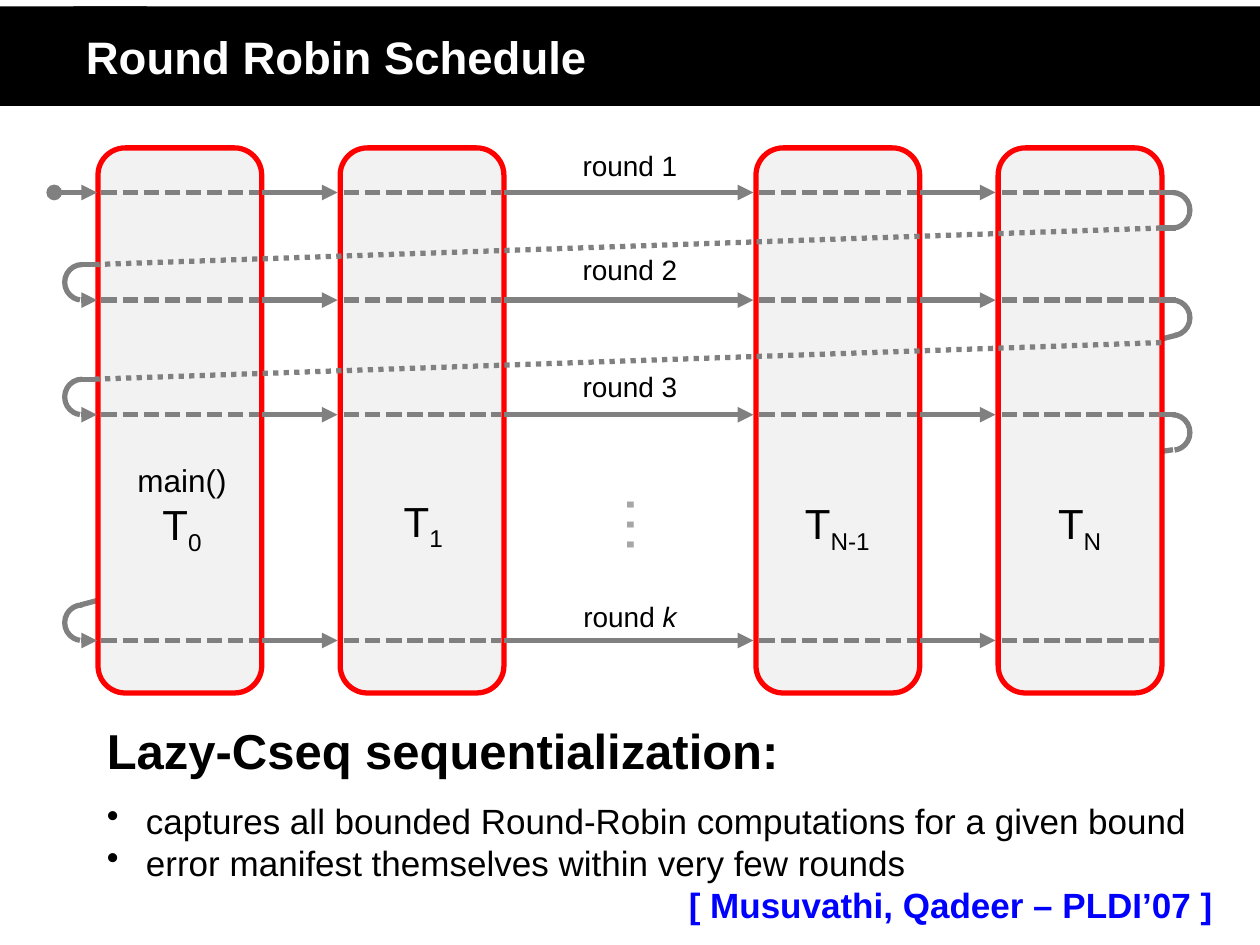
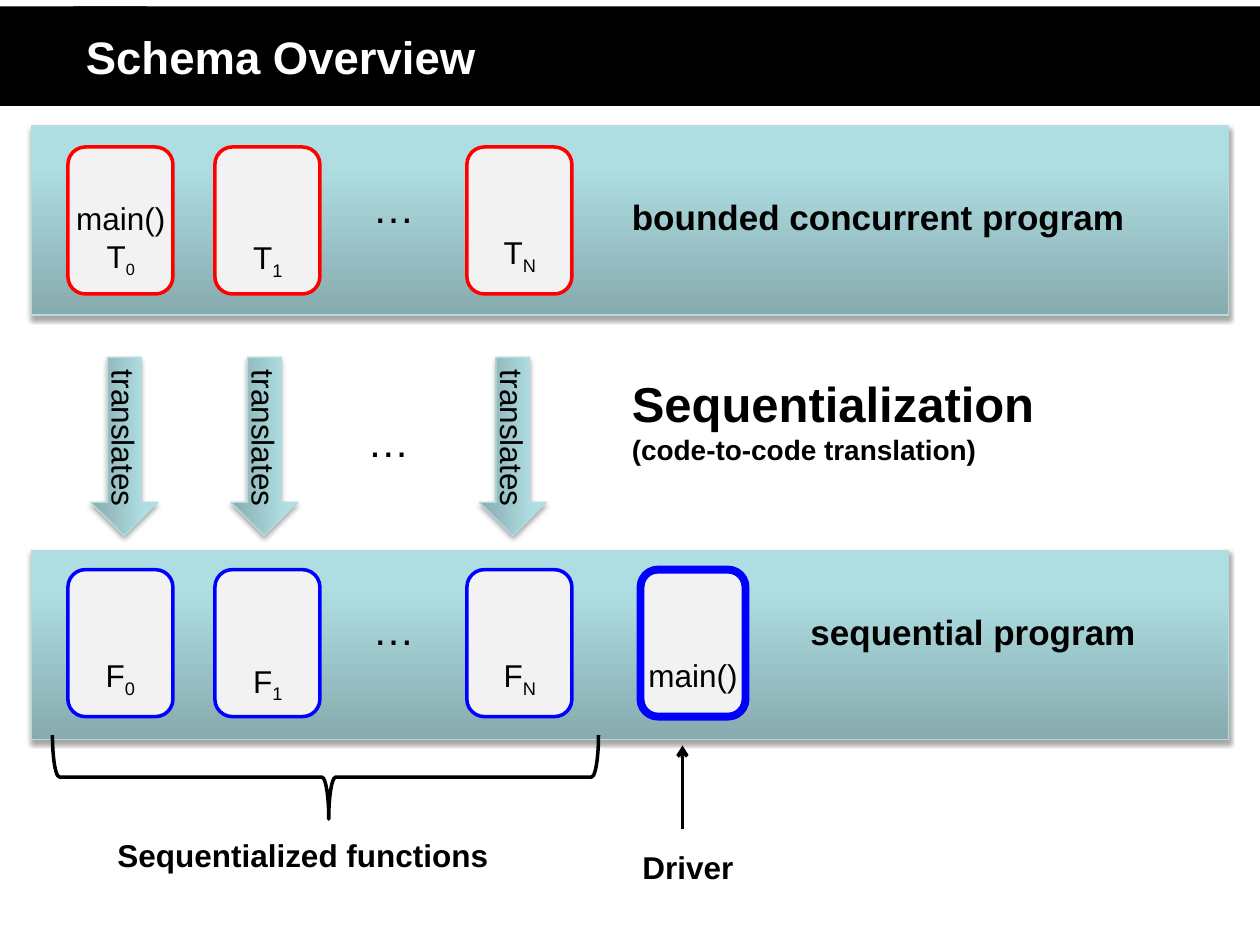
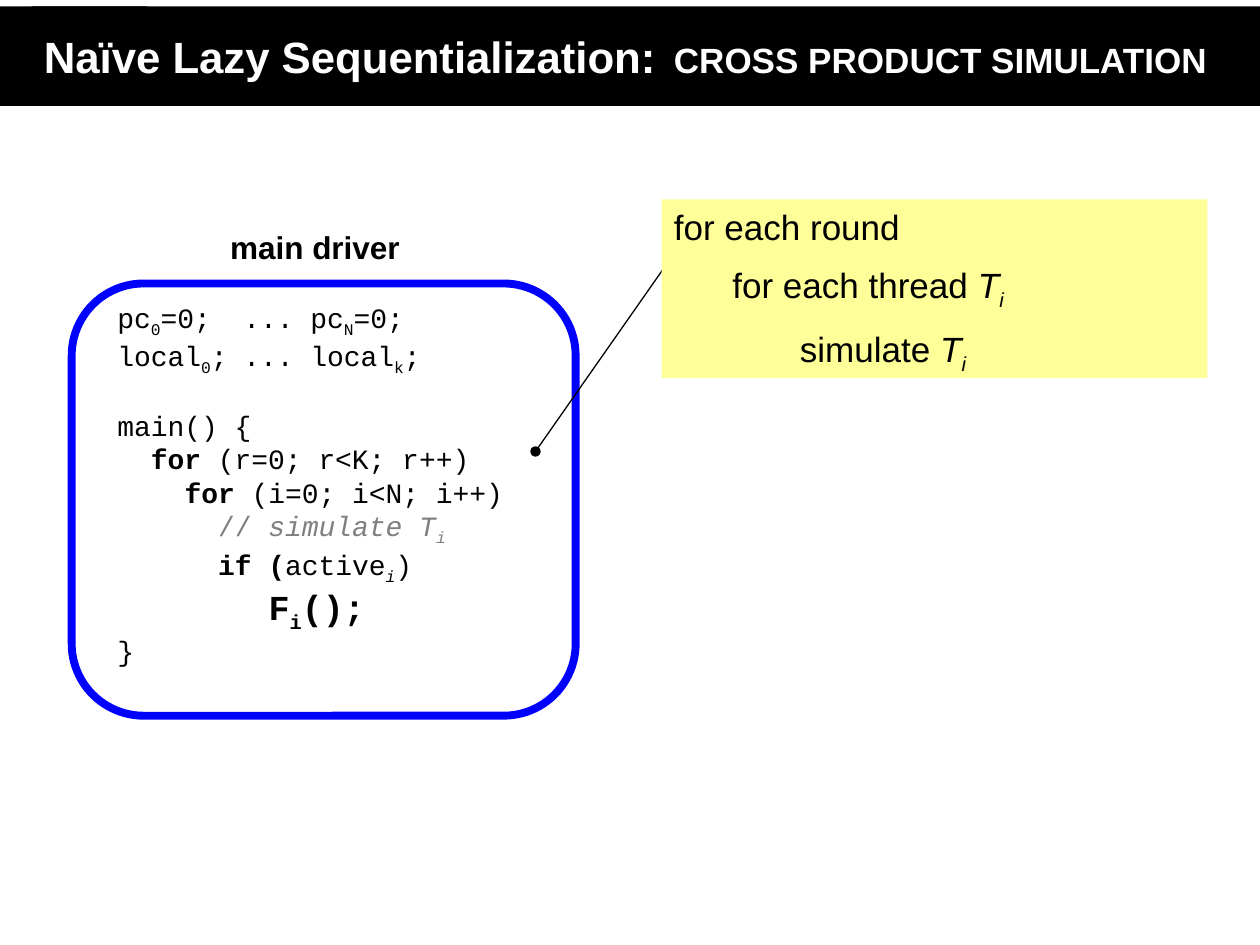
from copy import deepcopy
from dataclasses import dataclass

from lxml import etree
from pptx import Presentation
from pptx.dml.color import RGBColor
from pptx.enum.dml import MSO_LINE
from pptx.enum.shapes import MSO_CONNECTOR, MSO_SHAPE
from pptx.enum.text import MSO_ANCHOR, PP_ALIGN
from pptx.oxml.ns import qn
from pptx.util import Pt

RECT, ROUND = MSO_SHAPE.RECTANGLE, MSO_SHAPE.ROUNDED_RECTANGLE
ARC, BRACE, ARROW = MSO_SHAPE.ARC, MSO_SHAPE.LEFT_BRACE, MSO_SHAPE.RIGHT_ARROW
STRAIGHT = MSO_CONNECTOR.STRAIGHT
DASH, DOT = MSO_LINE.SQUARE_DOT, MSO_LINE.ROUND_DOT
LEFT, CENTER = PP_ALIGN.LEFT, PP_ALIGN.CENTER
TOP, MIDDLE = MSO_ANCHOR.TOP, MSO_ANCHOR.MIDDLE


@dataclass(frozen=True)
class Theme:
    sans: str = "Arial"
    mono: str = "Courier New"
    black: str = "000000"
    white: str = "FFFFFF"
    red: str = "FF0000"
    blue: str = "0000FF"
    gray: str = "808080"
    pale: str = "F2F2F2"
    faint: str = "A6A6A6"
    remark: str = "7F7F7F"
    note: str = "FFFF99"
    edge: str = "B6DCDF"
    teal: tuple = ((0, "87ABAE"), (0.8, "AFDEE2"), (1, "AFE0E4"))
    title: int = 26
    head: int = 28
    large: int = 24
    body: int = 20
    label: int = 18
    small: int = 16
    dots: int = 36


THEME = Theme()


@dataclass
class Line:
    """One paragraph. A run is (text, flags, size); flags: b bold, i italic, _ subscript."""
    runs: object
    size: int = THEME.label
    color: str = THEME.black
    bold: bool = False
    font: str = THEME.sans
    align: object = LEFT
    left: float = 0
    hang: float = 0
    before: float = 0
    tab: float = 0
    bullet: str = ""


def sub(name, index, flags=""):
    return [(name, flags), (index, flags + "_")]


def rgb(color):
    return RGBColor.from_string(color)


def write(frame, lines, anchor=TOP):
    frame.word_wrap = True
    frame.vertical_anchor = anchor
    for i, line in enumerate(lines):
        par = frame.add_paragraph() if i else frame.paragraphs[0]
        par.alignment = line.align
        par.space_before = Pt(line.before)
        props = par._p.get_or_add_pPr()
        props.set("marL", str(Pt(line.left)))
        props.set("indent", str(Pt(-line.hang)))
        if line.bullet:
            etree.SubElement(props, qn("a:buChar"), char=line.bullet)
        if line.tab:
            stops = etree.SubElement(props, qn("a:tabLst"))
            etree.SubElement(stops, qn("a:tab"), pos=str(Pt(line.tab)), algn="l")
        runs = [(line.runs,)] if isinstance(line.runs, str) else line.runs
        for words, *extra in runs:
            flags = extra[0] if extra else ""
            run = par.add_run()
            run.text = words
            font = run.font
            font.name = line.font
            font.size = Pt(extra[1] if len(extra) > 1 else line.size)
            font.bold = line.bold or "b" in flags
            font.italic = "i" in flags
            font.color.rgb = rgb(line.color)
            if "_" in flags:
                run._r.get_or_add_rPr().set("baseline", "-25000")


def text(slide, box, *lines, turn=0, anchor=TOP):
    item = slide.shapes.add_textbox(*map(Pt, box))
    item.rotation = turn
    write(item.text_frame, lines, anchor)


def shape(slide, kind, box, fill=None, line=None, width=1.0, turn=0, adjust=()):
    item = slide.shapes.add_shape(kind, *map(Pt, box))
    item.shadow.inherit = False
    item.rotation = turn
    for i, value in enumerate(adjust):
        item.adjustments[i] = value
    if fill:
        item.fill.solid()
        item.fill.fore_color.rgb = rgb(fill)
    else:
        item.fill.background()
    if line:
        item.line.color.rgb = rgb(line)
        item.line.width = Pt(width)
    else:
        item.line.fill.background()
    return item


def glossy(slide, kind, box, turn=0):
    """A shape with the teal gradient and a soft shadow."""
    item = shape(slide, kind, box, line=THEME.edge, width=0.75, turn=turn)
    item.fill.gradient()
    item.fill.gradient_angle = 90
    props = item._element.spPr
    stops = props.find(qn("a:gradFill")).find(qn("a:gsLst"))
    stops.append(deepcopy(stops[-1]))
    for stop, (place, color) in zip(item.fill.gradient_stops, THEME.teal):
        stop.position = place
        stop.color.rgb = rgb(color)
    shade = etree.SubElement(props.find(qn("a:effectLst")), qn("a:outerShdw"),
                             blurRad=str(Pt(3.1)), dist=str(Pt(1.8)),
                             dir="5400000", rotWithShape="0")
    tint = etree.SubElement(shade, qn("a:srgbClr"), val=THEME.black)
    etree.SubElement(tint, qn("a:alpha"), val="35000")
    return item


def link(slide, start, end, color=THEME.gray, width=3.0, dash=None, head=None, tail=None):
    item = slide.shapes.add_connector(STRAIGHT, *map(Pt, (*start, *end)))
    item.line.color.rgb = rgb(color)
    item.line.width = Pt(width)
    if dash:
        item.line.dash_style = dash
    stroke = item.line._get_or_add_ln()
    for tag, kind in (("a:headEnd", head), ("a:tailEnd", tail)):
        if kind:
            etree.SubElement(stroke, qn(tag), type=kind)
    etree.SubElement(item._element.spPr, qn("a:effectLst"))


def start(deck, runs, left=42, size=THEME.title):
    """Add a slide with the black title band."""
    slide = deck.slides.add_slide(deck.slide_layouts[6])
    top, high = 3.6, 56.9
    shape(slide, RECT, (0, top, 84, high), THEME.black)
    band = shape(slide, RECT, (left, top, 720 - left, high), THEME.black)
    write(band.text_frame, [Line(runs, size, THEME.white, True, tab=377)], MIDDLE)
    return slide


def rounds(deck):
    slide = start(deck, "Round Robin Schedule")
    cols, wide = (56, 194.4, 432, 570.4), 93.6
    rows = (110, 171.5, 237, 366)
    loop = 20.3

    for begin, end in (((576, 216), (672.5, 191.5)), ((582, 270), (670.3, 257)),
                       ((46, 345.7), (150, 318))):
        link(slide, begin, end)
    for x in cols:
        shape(slide, ROUND, (x, 84.5, wide, 311.5), THEME.pale, THEME.red, 3)

    def bend(x, y, angles):
        shape(slide, ARC, (x, y, 20, loop), line=THEME.gray, width=3, adjust=angles)

    link(slide, (31, rows[0]), (55.5, rows[0]), head="oval", tail="triangle")
    for i, y in enumerate(rows):
        for x in cols:
            link(slide, (x + 2, y), (x + 92, y), dash=DASH)
        for x, after in zip(cols, cols[1:]):
            link(slide, (x + wide, y), (after - 1.5, y), tail="triangle")
        if y != rows[-1]:
            bend(660, y, (162, 49.69))
            link(slide, (663, y), (672, y))
        if i:
            bend(37, y - loop, (58.31, 162))
            link(slide, (46.5, y), (55.5, y), tail="triangle")
        if i in (1, 2):
            link(slide, (45.5, y - loop), (54, y - loop))
            link(slide, (54, y - loop), (666, y - loop - 21), dash=DOT)
    link(slide, (663, rows[0] + loop), (672, rows[0] + loop))

    for name, y in (("1", 81.5), ("2", 141), ("3", 207.4), ("k", 339)):
        flags = "i" if name == "k" else ""
        text(slide, (300, y, 120, 26.6),
             Line([("round ",), (name, flags)], THEME.small, align=CENTER))
    text(slide, (65, 260, 78, 58), Line("main()", align=CENTER),
         Line(sub("T", "0"), THEME.large, align=CENTER))
    for index, x, y in (("1", 207.4, 279.4), ("N-1", 444, 281), ("N", 582.5, 281)):
        text(slide, (x, y, 69, 36), Line(sub("T", index), THEME.large, align=CENTER))
    text(slide, (331, 274.5, 84, 51), Line("…", THEME.dots, THEME.faint, align=CENTER),
         turn=90, anchor=MIDDLE)

    point = dict(size=THEME.body, left=58.3, hang=22.3, bullet="•")
    text(slide, (18, 408.2, 687.6, 131),
         Line("Lazy-Cseq sequentialization:", THEME.head, bold=True, left=36),
         Line("captures all bounded Round-Robin computations for a given bound",
              before=11.5, **point),
         Line("error manifest themselves within very few rounds", **point),
         Line("[ Musuvathi, Qadeer – PLDI’07 ]", THEME.body, THEME.blue, True, left=368.5))


def schema(deck):
    slide = start(deck, "Schema Overview")
    cols, size = (38.8, 122.8, 266.8), (60, 84)
    for top in (72, 314.6):
        glossy(slide, RECT, (18, top, 684, 108))
    for y, color in ((84, THEME.red), (325.5, THEME.blue)):
        for x in cols:
            shape(slide, ROUND, (x, y, *size), THEME.pale, color, 2)
    shape(slide, ROUND, (366, 325.5, *size), THEME.pale, THEME.blue, 4.5)

    def mark(x, y, *runs, wide=48):
        text(slide, (x, y, wide, 29), *[Line(r, align=CENTER) for r in runs])

    mark(33, 110, "main()", [("T",), ("0", "_", THEME.small)], wide=72)
    mark(129, 132.5, sub("T", "1"))
    mark(273, 129.5, sub("T", "N"))
    for index, x, y in (("0", 44.8, 371.5), ("1", 129, 374.5), ("N", 273, 371.5)):
        mark(x, y, sub("F", index))
    mark(363, 371.5, "main()", wide=66)
    for x, y in ((183, 100), (180, 234), (183, 341.3)):
        text(slide, (x, y, 84, 36), Line("…", THEME.large, align=CENTER))

    for x in (20, 100, 242):
        arrow = glossy(slide, ARROW, (x, 236, 102, 38.4), 90)
        write(arrow.text_frame, [Line("translates", align=CENTER)], MIDDLE)

    text(slide, (354, 108, 350, 31.5),
         Line("bounded concurrent program", THEME.body, bold=True))
    text(slide, (456, 345.5, 250, 31.5), Line("sequential program", THEME.body, bold=True))
    text(slide, (354, 210, 348, 60), Line("Sequentialization", THEME.head, bold=True),
         Line("(code-to-code translation)", THEME.small, bold=True))
    text(slide, (60, 474, 290, 29), Line("Sequentialized functions", bold=True))
    text(slide, (360, 481, 200, 29), Line("Driver", bold=True))
    shape(slide, BRACE, (162, 288, 48, 312), line=THEME.black, width=2, turn=270,
          adjust=(0.083, 0.506))
    link(slide, (390, 474), (390, 426), THEME.black, 2, tail="arrow")


def cross(deck):
    slide = start(deck, [("Naïve Lazy Sequentialization:",),
                         ("\tCROSS PRODUCT SIMULATION", "", THEME.body)], 18, 25)
    shape(slide, ROUND, (41, 162, 288, 247), THEME.white, THEME.blue, 4.5)
    text(slide, (54, 126.7, 252, 29), Line("main driver", bold=True, align=CENTER))

    def code(runs, depth=0, **style):
        """A line of code, set in by a number of characters."""
        return Line(runs, THEME.small, font=THEME.mono, left=depth * 9.6, tab=83.2, **style)

    text(slide, (60, 168, 288, 207),
         code([*sub("pc", "0"), ("=0;\t... pc",), ("N", "_"), ("=0;",)]),
         code([*sub("local", "0"), (";\t... local",), ("k", "_"), (";",)]),
         code("main() {", before=18),
         code([("for", "b"), (" (r=0; r<K; r++)",)], 2),
         code([("for", "b"), (" (i=0; i<N; i++)",)], 4),
         code([("// ",), *sub("simulate T", "i", "i")], 6, color=THEME.remark),
         code([("if (", "b"), ("active",), ("i", "i_"), (")",)], 6),
         code([("F", "b", THEME.body), ("i", "b_", THEME.body), ("();", "b", THEME.body)], 9),
         code("}"))

    link(slide, (306, 258), (390, 138), THEME.black, 0.75, head="oval")
    note = shape(slide, RECT, (378, 114, 312, 102), THEME.note)
    write(note.text_frame, [
        Line("for each round", THEME.body),
        Line([("for each thread ",), *sub("T", "i", "i")], THEME.body, left=33.4, before=9.2),
        Line([("simulate ",), *sub("T", "i", "i")], THEME.body, left=72, before=9.2)])


def main():
    deck = Presentation()
    deck.slide_width, deck.slide_height = Pt(720), Pt(540)
    for build in (rounds, schema, cross):
        build(deck)
    deck.save("out.pptx")


if __name__ == "__main__":
    main()
